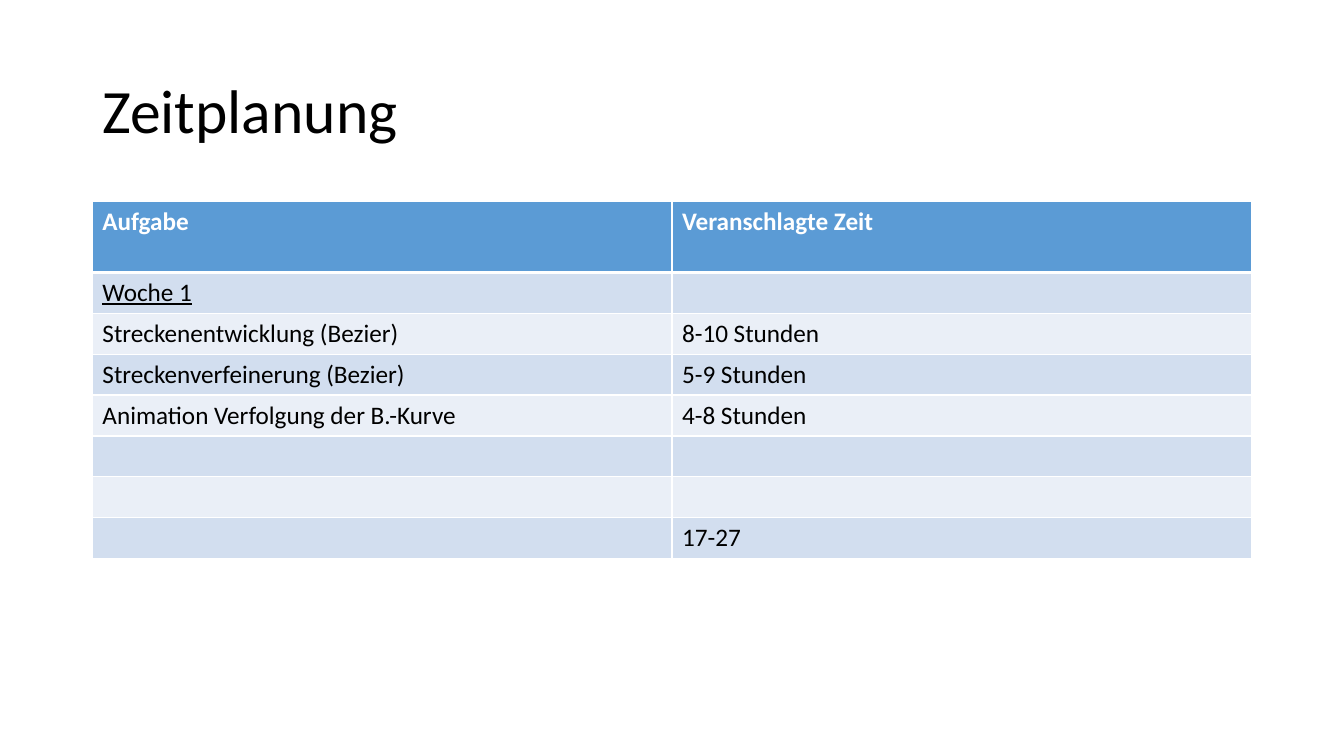
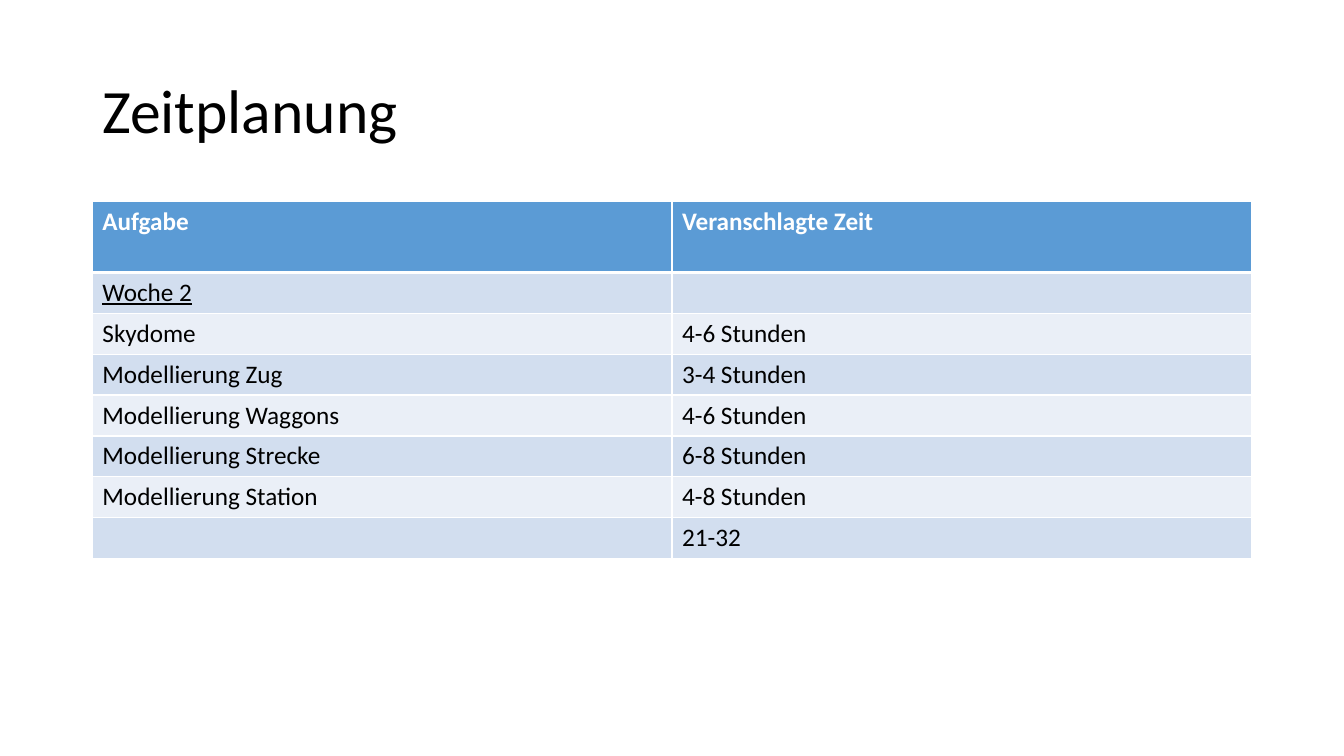
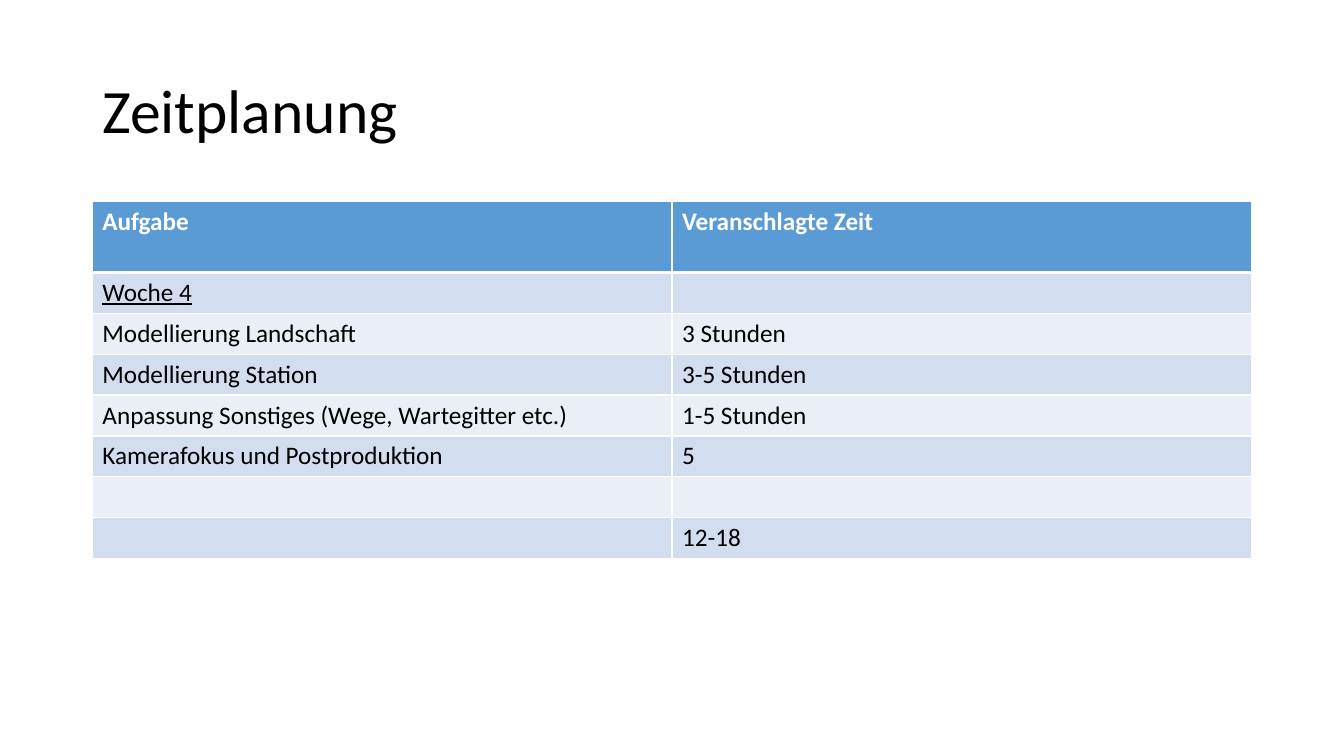
from dataclasses import dataclass

from lxml.etree import SubElement
from pptx import Presentation
from pptx.dml.color import RGBColor
from pptx.enum.text import MSO_ANCHOR as Anchor
from pptx.oxml.ns import qn
from pptx.slide import Slide
from pptx.table import _Cell as Cell
from pptx.text.text import _Paragraph as Para
from pptx.util import Pt

FONT = "Calibri"
WHITE, BLACK, BLUE = "FFFFFF", "000000", "5B9BD5"
BANDS = "D2DEEF", "EAEFF7"
LEFT, WIDTH = 66, 828
HEAD, ROW = 50.6, 29.2
SLOTS = 5
THIN, THICK = 1, 3


@dataclass
class Week:
    label: str
    tasks: list[tuple[str, str]]
    total: str

    def rows(self) -> list[tuple[str, str]]:
        """Return the body rows, with free slots between tasks and total."""
        free = [("", "")] * (SLOTS - len(self.tasks))
        return [(self.label, ""), *self.tasks, *free, ("", self.total)]


WEEKS = [
    Week("Woche 1", [
        ("Streckenentwicklung (Bezier)", "8-10 Stunden"),
        ("Streckenverfeinerung (Bezier)", "5-9 Stunden"),
        ("Animation Verfolgung der B.-Kurve", "4-8 Stunden"),
    ], "17-27"),
    Week("Woche 2", [
        ("Skydome", "4-6 Stunden"),
        ("Modellierung Zug", "3-4 Stunden"),
        ("Modellierung Waggons", "4-6 Stunden"),
        ("Modellierung Strecke", "6-8 Stunden"),
        ("Modellierung Station", "4-8 Stunden"),
    ], "21-32"),
    Week("Woche 4", [
        ("Modellierung Landschaft", "3 Stunden"),
        ("Modellierung Station", "3-5 Stunden"),
        ("Anpassung Sonstiges (Wege, Wartegitter etc.)", "1-5 Stunden"),
        ("Kamerafokus und Postproduktion", "5"),
    ], "12-18"),
]


def color(code: str) -> RGBColor:
    return RGBColor.from_string(code)


def add_run(para: Para, text: str, size: float, code: str,
            bold: bool = False, under: bool = False) -> None:
    run = para.add_run()
    run.text = text
    font = run.font
    font.name, font.size = FONT, Pt(size)
    font.bold, font.underline = bold, under
    font.color.rgb = color(code)


def add_title(slide: Slide, text: str) -> None:
    box = slide.shapes.add_textbox(Pt(LEFT), Pt(28.8), Pt(WIDTH), Pt(104.4))
    frame = box.text_frame
    frame.word_wrap = True
    frame.vertical_anchor = Anchor.MIDDLE
    para = frame.paragraphs[0]
    para.line_spacing = 0.9
    add_run(para, text, 44, BLACK)


def style_cell(cell: Cell, fill: str, top: float, bottom: float) -> None:
    """Set white borders first, then the fill, as the schema orders them."""
    props = cell._tc.get_or_add_tcPr()
    for side, width in zip("LRTB", (THIN, THIN, top, bottom)):
        line = SubElement(props, qn(f"a:ln{side}"), w=str(Pt(width)))
        SubElement(SubElement(line, qn("a:solidFill")), qn("a:srgbClr"), val=WHITE)
    cell.fill.solid()
    cell.fill.fore_color.rgb = color(fill)


def add_plan(slide: Slide, week: Week) -> None:
    rows = [("Aufgabe", "Veranschlagte Zeit"), *week.rows()]
    body = ROW * (len(rows) - 1)
    table = slide.shapes.add_table(
        len(rows), 2, Pt(LEFT), Pt(144), Pt(WIDTH), Pt(HEAD + body)).table
    for col in table.columns:
        col.width = Pt(WIDTH / 2)
    for i, texts in enumerate(rows):
        head = i == 0
        table.rows[i].height = Pt(HEAD if head else ROW)
        fill = BLUE if head else BANDS[(i - 1) % 2]
        for cell, text in zip(table.rows[i].cells, texts):
            style_cell(cell, fill, THICK if i == 1 else THIN,
                       THICK if head else THIN)
            if text:
                add_run(cell.text_frame.paragraphs[0], text, 18,
                        WHITE if head else BLACK, bold=head, under=i == 1)


def main() -> None:
    deck = Presentation()
    deck.slide_width, deck.slide_height = Pt(960), Pt(540)
    for week in WEEKS:
        slide = deck.slides.add_slide(deck.slide_layouts[6])
        add_title(slide, "Zeitplanung")
        add_plan(slide, week)
    deck.save("out.pptx")


if __name__ == "__main__":
    main()
